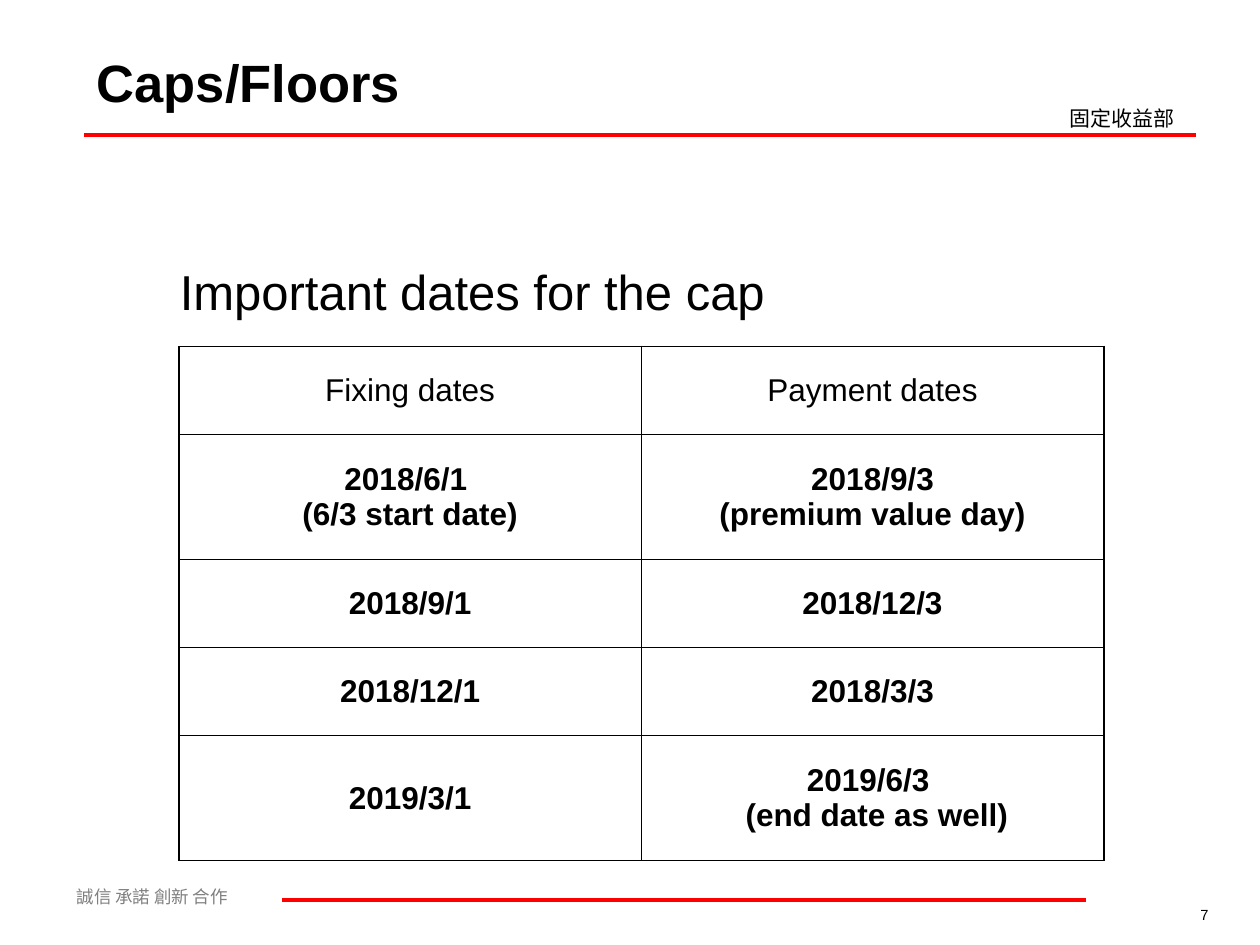
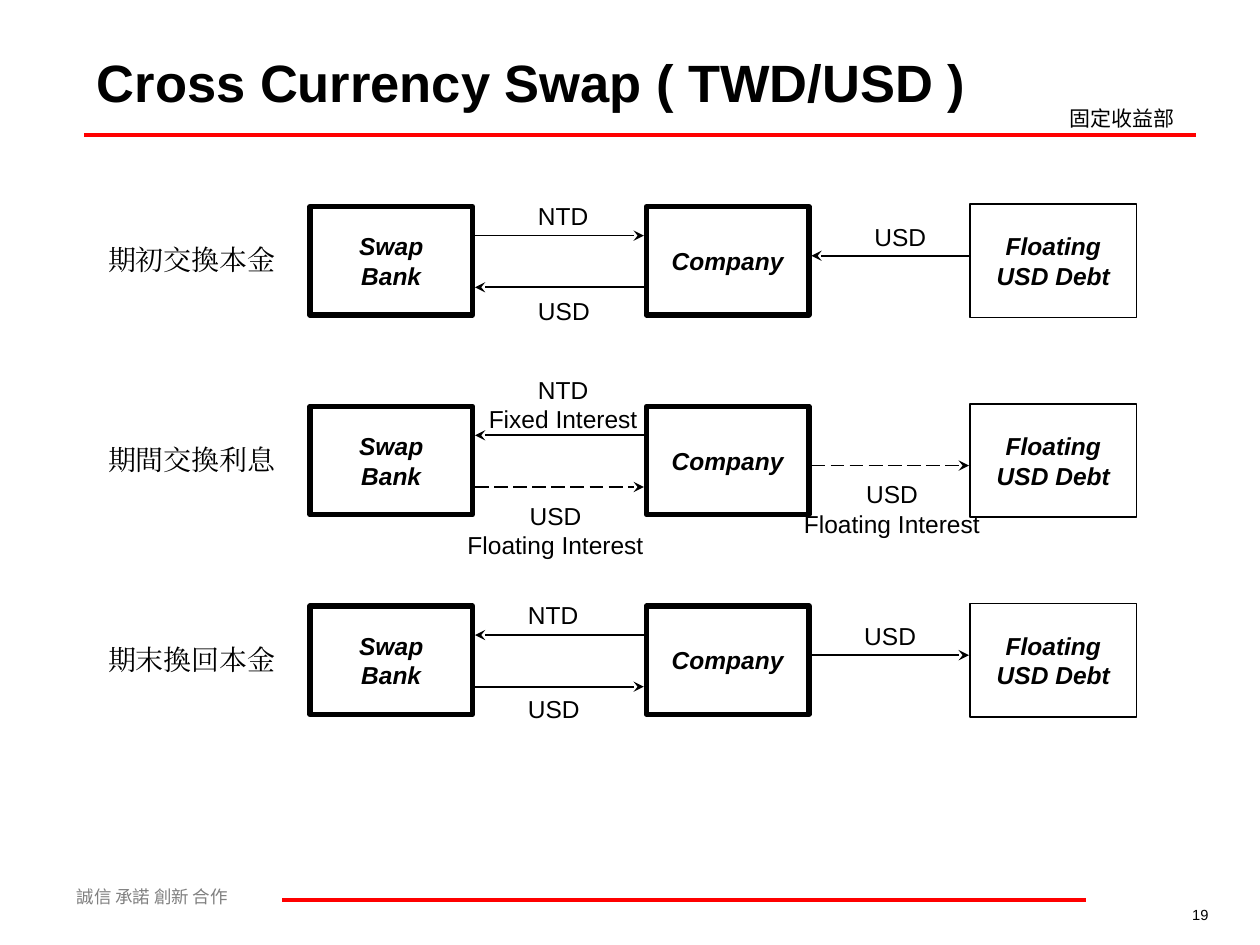
"""Build two interest-rate derivative slides: cap dates and a cross currency swap."""
from lxml.etree import SubElement
from pptx import Presentation
from pptx.dml.color import RGBColor
from pptx.enum.dml import MSO_LINE
from pptx.enum.shapes import MSO_CONNECTOR, MSO_SHAPE
from pptx.enum.text import MSO_ANCHOR, PP_ALIGN
from pptx.oxml.ns import qn
from pptx.util import Inches, Pt

COLORS = {"ink": "000000", "paper": "FFFFFF", "rule": "FF0000", "motto": "808080"}
LATIN, CJK, STAGE = "Arial", "Noto Sans CJK SC", "TeX Gyre Pagella"

CAP_DATES = [
    ("Fixing dates", "Payment dates"),
    ("2018/6/1 \v(6/3 start date)", "2018/9/3\v(premium value day)"),
    ("2018/9/1", "2018/12/3"),
    ("2018/12/1", "2018/3/3"),
    ("2019/3/1", "2019/6/3 \v (end date as well)"),
]
CAP_ROW_HEIGHTS = [0.7, 0.99, 0.7, 0.7, 0.99]

STAGE_TOP, STAGE_PITCH = 1.62, 1.585
PARTIES = [("Swap\nBank", 2.46, 1.29, 3), ("Company", 5.13, 1.29, 3),
           ("Floating\nUSD Debt", 7.7, 1.32, 1)]
BANK_GAP, DEBT_GAP = (3.77, 5.11), (6.44, 7.69)
FLOW_WIDTHS = {"NTD": 0.6, "USD": 0.61, "NTD\nFixed Interest": 1.38,
               "USD\nFloating Interest": 1.6}
# Each flow: gap, arrow offset, points right, dashed, label, label left, label offset
STAGES = [
    ("期初交換本金", [
        (BANK_GAP, 0.25, True, False, "NTD", 4.17, -0.07),
        (BANK_GAP, 0.66, False, False, "USD", 4.17, 0.68),
        (DEBT_GAP, 0.41, False, False, "USD", 6.84, 0.09)]),
    ("期間交換利息", [
        (BANK_GAP, 0.25, False, False, "NTD\nFixed Interest", 3.78, -0.28),
        (BANK_GAP, 0.66, True, True, "USD\nFloating Interest", 3.61, 0.72),
        (DEBT_GAP, 0.49, True, True, "USD\nFloating Interest", 6.28, 0.55)]),
    ("期末換回本金", [
        (BANK_GAP, 0.25, False, False, "NTD", 4.09, -0.08),
        (BANK_GAP, 0.66, True, False, "USD", 4.09, 0.67),
        (DEBT_GAP, 0.41, True, False, "USD", 6.76, 0.09)]),
]


def rgb(name):
    """Return the named palette colour."""
    return RGBColor.from_string(COLORS[name])


def write(frame, text, size, font=LATIN, color="ink", align=PP_ALIGN.LEFT,
          bold=False, italic=False):
    """Fill a text frame and format all of its runs."""
    frame.text = text
    for paragraph in frame.paragraphs:
        paragraph.alignment = align
        for run in paragraph.runs:
            run.font.size = Pt(size)
            run.font.name = font
            run.font.bold = bold
            run.font.italic = italic
            run.font.color.rgb = rgb(color)
            SubElement(run.font._element, qn("a:ea"), typeface=font)


def add_text(slide, text, left, top, width, height, size, wrap=True,
             anchor=MSO_ANCHOR.TOP, **style):
    """Add a text box."""
    frame = slide.shapes.add_textbox(
        Inches(left), Inches(top), Inches(width), Inches(height)).text_frame
    frame.word_wrap = wrap
    frame.vertical_anchor = anchor
    write(frame, text, size, **style)


def add_line(slide, start, end, y, width, color="ink", dashed=False, arrow=False):
    """Add a horizontal line, with an optional arrowhead at its end."""
    line = slide.shapes.add_connector(
        MSO_CONNECTOR.STRAIGHT, Inches(start), Inches(y), Inches(end), Inches(y))
    line.line.color.rgb = rgb(color)
    line.line.width = Pt(width)
    if dashed:
        line.line.dash_style = MSO_LINE.LONG_DASH
    if arrow:
        SubElement(line.line._get_or_add_ln(), qn("a:tailEnd"), type="stealth")
    SubElement(line._element.spPr, qn("a:effectLst"))


def add_party(slide, name, left, top, width, height, border):
    """Add the box of one party to the swap."""
    party = slide.shapes.add_shape(
        MSO_SHAPE.RECTANGLE, Inches(left), Inches(top), Inches(width), Inches(height))
    party.shadow.inherit = False
    party.fill.solid()
    party.fill.fore_color.rgb = rgb("paper")
    party.line.color.rgb = rgb("ink")
    party.line.width = Pt(border)
    party.text_frame.word_wrap = False
    party.text_frame.vertical_anchor = MSO_ANCHOR.MIDDLE
    write(party.text_frame, name, 14, align=PP_ALIGN.CENTER, bold=True, italic=True)


def add_border(cell, side, width):
    """Draw one border of a table cell."""
    border = SubElement(cell._tc.get_or_add_tcPr(), qn(f"a:ln{side}"), w=str(Pt(width)))
    fill = SubElement(border, qn("a:solidFill"))
    SubElement(fill, qn("a:srgbClr"), val=COLORS["ink"])


def add_dates_table(slide, left, top, column_width):
    """Add the table of fixing and payment dates with a heavier outer frame."""
    row_count, column_count = len(CAP_DATES), len(CAP_DATES[0])
    dates = slide.shapes.add_table(
        row_count, column_count, Inches(left), Inches(top),
        Inches(column_width * column_count), Inches(sum(CAP_ROW_HEIGHTS))).table
    dates.first_row = dates.horz_banding = False
    for column in dates.columns:
        column.width = Inches(column_width)
    for r, (texts, height) in enumerate(zip(CAP_DATES, CAP_ROW_HEIGHTS)):
        dates.rows[r].height = Inches(height)
        for c, text in enumerate(texts):
            cell = dates.cell(r, c)
            cell.vertical_anchor = MSO_ANCHOR.MIDDLE
            write(cell.text_frame, text, 18, align=PP_ALIGN.CENTER, bold=r > 0)
            outer = {"L": c == 0, "R": c == column_count - 1,
                     "T": r == 0, "B": r == row_count - 1}
            for side, is_outer in outer.items():
                add_border(cell, side, 1.08 if is_outer else 0.45)
            cell.fill.solid()
            cell.fill.fore_color.rgb = rgb("paper")


def add_base_slide(deck, title, number):
    """Add a slide with the shared title, rules, department, motto and number."""
    slide = deck.slides.add_slide(deck.slide_layouts[6])
    add_text(slide, "誠信 承諾 創新 合作", 0.51, 6.98, 2.52, 0.27, 10,
             font=CJK, color="motto")
    add_line(slide, 0.67, 9.49, 1.07, 2.25, "rule")
    add_line(slide, 2.24, 8.62, 7.14, 2.25, "rule")
    add_text(slide, "固定收益部", 8.39, 0.79, 1.26, 0.3, 12, font=CJK)
    add_text(slide, str(number), 8.31, 7.14, 1.38, 0.24, 8.4, align=PP_ALIGN.RIGHT)
    add_text(slide, title, 0.67, 0.3, 7.32, 0.69, 30, anchor=MSO_ANCHOR.MIDDLE, bold=True)
    return slide


def add_stage(slide, top, caption, flows):
    """Add one stage of the swap: caption, parties, arrows and their labels."""
    for name, left, width, border in PARTIES:
        inset = 0.02 if border > 1 else 0
        add_party(slide, name, left, top + inset, width, 0.9 - 2 * inset, border)
    add_text(slide, caption, 0.76, top + 0.26, 1.53, 0.37, 16, wrap=False, font=STAGE)
    for gap, offset, rightward, dashed, label, left, label_offset in flows:
        start, end = gap if rightward else reversed(gap)
        add_line(slide, start, end, top + offset, 1, dashed=dashed, arrow=True)
        add_text(slide, label, left, top + label_offset, FLOW_WIDTHS[label],
                 0.57 if "\n" in label else 0.33, 14, wrap=False, align=PP_ALIGN.CENTER)


def main():
    """Build and save the deck."""
    deck = Presentation()
    deck.slide_width, deck.slide_height = Inches(10), Inches(7.5)

    caps = add_base_slide(deck, "Caps/Floors", 7)
    add_dates_table(caps, 1.42, 2.75, 3.67)
    add_text(caps, "Important dates for the cap", 1.33, 2.03, 5.17, 0.57, 28)

    swap = add_base_slide(deck, "Cross Currency Swap ( TWD/USD )", 19)
    for index, (caption, flows) in enumerate(STAGES):
        add_stage(swap, STAGE_TOP + index * STAGE_PITCH, caption, flows)

    deck.save("out.pptx")


if __name__ == "__main__":
    main()
